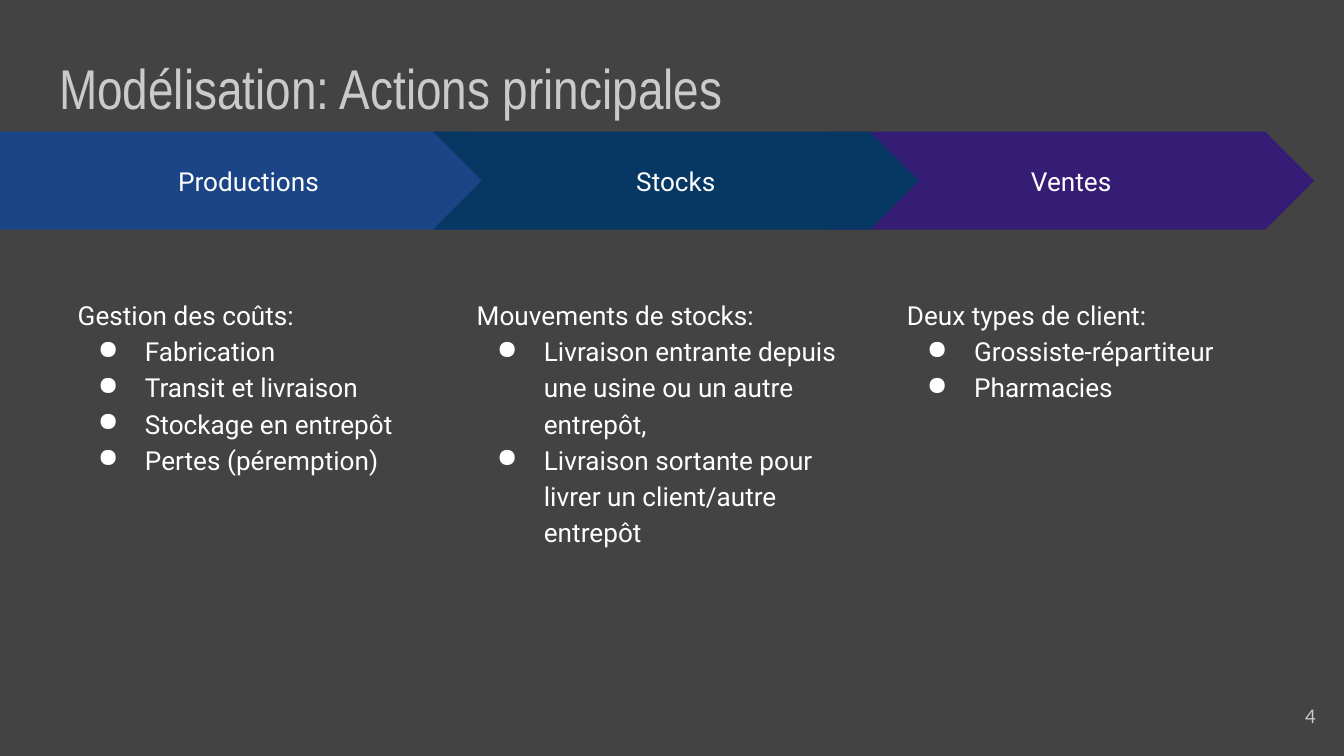
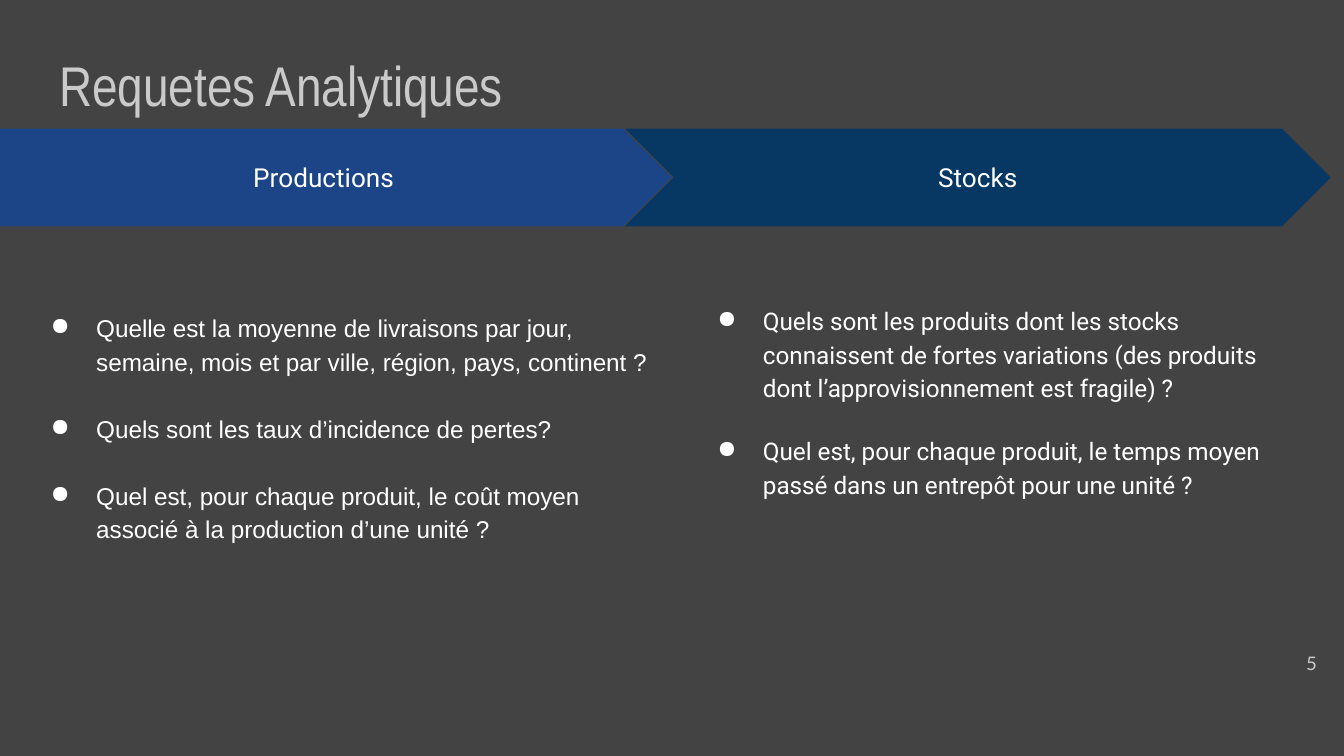
from lxml.etree import SubElement
from pptx import Presentation
from pptx.dml.color import RGBColor
from pptx.enum.shapes import MSO_SHAPE
from pptx.enum.text import MSO_ANCHOR, MSO_AUTO_SIZE, PP_ALIGN
from pptx.oxml.ns import qn
from pptx.util import Cm, Pt

BACKGROUND = "434343"
MUTED = "CACACA"
WHITE = "FFFFFF"
BLUE = "1C4587"
NAVY = "073763"
PURPLE = "351C75"
INSET = 0.25
BAND_HEIGHT = 1.85


def color(value):
    return RGBColor.from_string(value)


def add_run(p, text, size, font, fill=WHITE):
    r = p.add_run()
    r.text = text
    r.font.size = Pt(size)
    r.font.name = font
    r.font.color.rgb = color(fill)


def set_frame(tf, anchor=MSO_ANCHOR.TOP):
    tf.word_wrap = True
    tf.auto_size = MSO_AUTO_SIZE.NONE
    tf.vertical_anchor = anchor
    tf.margin_left = tf.margin_right = Cm(INSET)
    tf.margin_top = tf.margin_bottom = Cm(INSET)


def add_text_box(s, box, anchor=MSO_ANCHOR.TOP):
    tf = s.shapes.add_textbox(*map(Cm, box)).text_frame
    set_frame(tf, anchor)
    return tf


def add_bullet(p, hanging):
    pPr = p._p.get_or_add_pPr()
    pPr.set("marL", str(Cm(1.27)))
    pPr.set("indent", str(-Cm(hanging)))
    clr = SubElement(pPr, qn("a:buClr"))
    SubElement(clr, qn("a:srgbClr")).set("val", WHITE)
    SubElement(pPr, qn("a:buChar")).set("char", "●")


def add_list(s, box, items, heading=None, size=14, font="Roboto", hanging=0.89, gap=0):
    tf = add_text_box(s, box)
    lines = ([heading] if heading else []) + items
    for i, line in enumerate(lines):
        p = tf.add_paragraph() if i else tf.paragraphs[0]
        p.line_spacing = 1.15
        p.space_before = Pt(gap if i else 0)
        if line != heading:
            add_bullet(p, hanging)
        add_run(p, line, size, font)


def add_step(s, box, label, fill, kind=MSO_SHAPE.CHEVRON):
    sp = s.shapes.add_shape(kind, *map(Cm, box))
    sp.shadow.inherit = False
    sp.fill.solid()
    sp.fill.fore_color.rgb = color(fill)
    sp.line.fill.background()
    set_frame(sp.text_frame, MSO_ANCHOR.MIDDLE)
    p = sp.text_frame.paragraphs[0]
    p.alignment = PP_ALIGN.CENTER
    add_run(p, label, 14, "Roboto")


def add_slide(prs, title, title_top, number, number_box):
    s = prs.slides.add_slide(prs.slide_layouts[5])
    sp = s.shapes.title
    sp.left, sp.top, sp.width, sp.height = map(Cm, (0.87, title_top, 23.67, 1.6))
    set_frame(sp.text_frame)
    p = sp.text_frame.paragraphs[0]
    p.alignment = PP_ALIGN.LEFT
    add_run(p, title, 30, "Arial Narrow", MUTED)
    p = add_text_box(s, number_box, MSO_ANCHOR.MIDDLE).paragraphs[0]
    p.alignment = PP_ALIGN.RIGHT
    add_run(p, number, 10, "Lato", MUTED)
    return s


def build_actions(prs):
    s = add_slide(prs, "Modélisation: Actions principales", 0.76, "4",
                  (23.6, 13, 1.52, 1.09))
    top, first, pitch, width = 2.49, 8.18, 7.47, 9.19
    add_step(s, (first + pitch, top, width, BAND_HEIGHT), "Ventes", PURPLE)
    add_step(s, (0, top, 9.86, BAND_HEIGHT), "Productions", BLUE, MSO_SHAPE.PENTAGON)
    add_step(s, (first, top, width, BAND_HEIGHT), "Stocks", NAVY)
    columns = [
        (1.22, 7.42, "Gestion des coûts:",
         ["Fabrication", "Transit et livraison", "Stockage en entrepôt",
          "Pertes (péremption)"]),
        (8.76, 8.03, "Mouvements de stocks:",
         ["Livraison entrante depuis une usine ou un autre entrepôt,",
          "Livraison sortante pour livrer un client/autre entrepôt"]),
        (16.89, 6.71, "Deux types de client:",
         ["Grossiste-répartiteur", "Pharmacies"]),
    ]
    for left, column_width, heading, items in columns:
        add_list(s, (left, 5.33, column_width, 7.26), items, heading)


def build_queries(prs):
    s = add_slide(prs, "Requetes Analytiques", 0.71, "5", (23.62, 11.99, 1.52, 1.09))
    top = 2.43
    add_step(s, (0, top, 12.7, BAND_HEIGHT), "Productions", BLUE, MSO_SHAPE.PENTAGON)
    add_step(s, (11.81, top, 13.34, BAND_HEIGHT), "Stocks", NAVY)
    add_list(s, (0.3, 5.59, 12.24, 6.99), [
        "Quelle est la moyenne de livraisons par jour, semaine, mois et par ville, "
        "région, pays, continent ?",
        "Quels sont les taux d’incidence de pertes?",
        "Quel est, pour chaque produit, le coût moyen associé à la production "
        "d’une unité ?",
    ], size=13, font="Arial", hanging=0.86, gap=18)
    add_list(s, (12.9, 5.46, 11.63, 6.99), [
        "Quels sont les produits dont les stocks connaissent de fortes variations "
        "(des produits dont l’approvisionnement est fragile) ?",
        "Quel est, pour chaque produit, le temps moyen passé dans un entrepôt "
        "pour une unité ?",
    ], size=13, hanging=0.86, gap=16)


def main():
    prs = Presentation()
    prs.slide_width, prs.slide_height = Cm(25.4), Cm(14.29)
    fill = prs.slide_master.background.fill
    fill.solid()
    fill.fore_color.rgb = color(BACKGROUND)
    build_actions(prs)
    build_queries(prs)
    prs.save("out.pptx")


if __name__ == "__main__":
    main()
